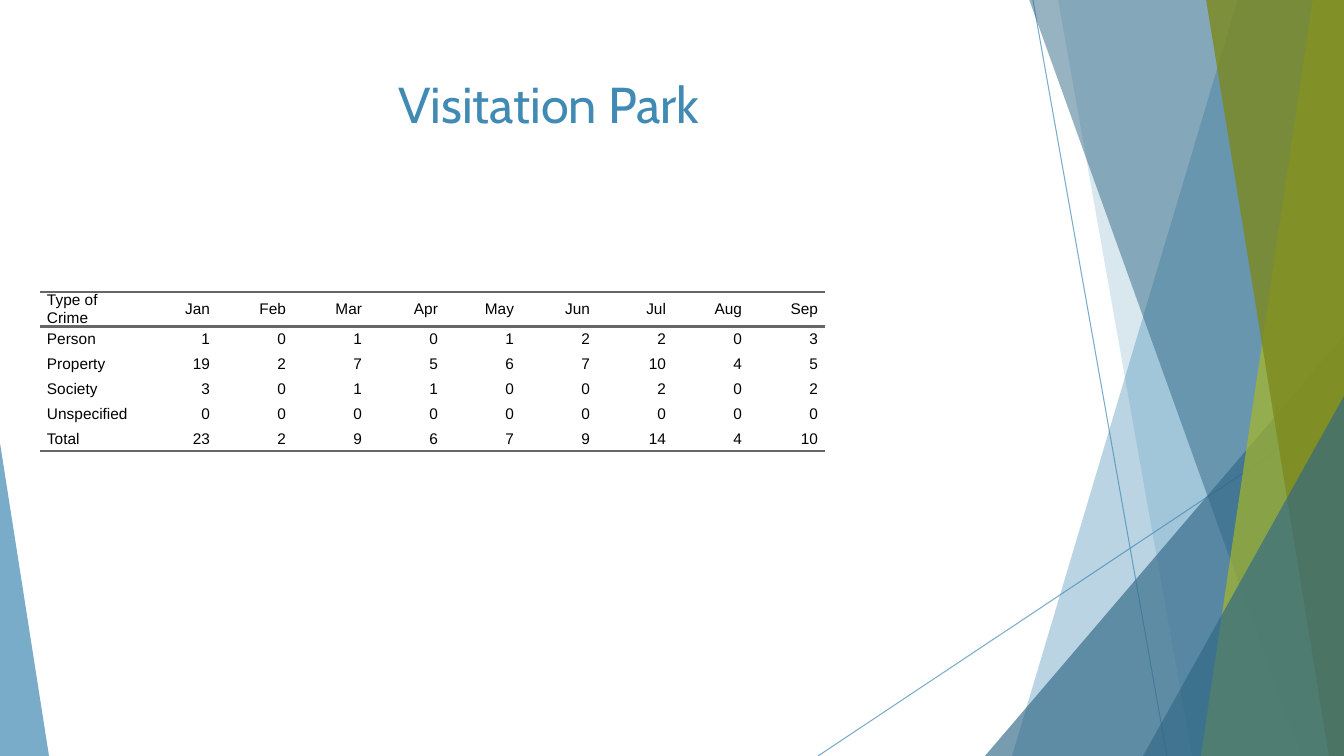
from lxml.etree import SubElement
from pptx import Presentation
from pptx.dml.color import RGBColor
from pptx.enum.shapes import MSO_CONNECTOR as Connector, MSO_SHAPE as Shape
from pptx.enum.text import MSO_ANCHOR as Anchor, PP_ALIGN as Align
from pptx.oxml.ns import qn
from pptx.util import Emu, Pt

EMU_PER_PX = 914400 / 100.8
WIDTH, HEIGHT = 1344, 756
BLUE, NAVY, LIME, OLIVE = "418AB3", "316886", "A6B727", "7D891D"
BLACK, GREY = "000000", "666666"
PLAIN_TABLE = "{2D5ABB26-0587-4C30-8999-92F81FD0307C}"


def px(length):
    return Emu(round(length * EMU_PER_PX))


def color(hex_string):
    return RGBColor.from_string(hex_string)


def apply(target, values):
    for name, value in values.items():
        setattr(target, name, value)


class SlideBuilder:
    title_font = {"name": "Cabin", "size": Pt(36), "bold": False}
    table_font = {"name": "Arial", "size": Pt(11), "bold": False}
    cell_format = {"margin_left": px(7), "margin_right": px(7), "margin_top": 0,
                   "margin_bottom": 0, "vertical_anchor": Anchor.MIDDLE}

    def __init__(self, presentation):
        self.slide = presentation.slides.add_slide(presentation.slide_layouts[5])
        self.shapes = self.slide.shapes

    def paint(self, format_owner, properties, hex_string, opacity):
        format_owner.fill.solid()
        format_owner.fill.fore_color.rgb = color(hex_string)
        # Opacity is a child of the colour element
        for element in properties.iter(qn("a:srgbClr")):
            SubElement(element, qn("a:alpha"), val=str(opacity * 1000))

    def finish(self, shape, hex_string, opacity):
        self.paint(shape, shape._element.spPr, hex_string, opacity)
        shape.line.fill.background()
        shape.shadow.inherit = False

    def line(self, start, end, hex_string, opacity):
        connector = self.shapes.add_connector(
            Connector.STRAIGHT, *map(px, start + end))
        connector.line.width = Pt(0.75)
        properties = connector._element.spPr
        self.paint(connector.line, properties, hex_string, opacity)
        SubElement(properties, qn("a:effectLst"))

    def band(self, top_left, top_right, bottom_left, hex_string, opacity):
        """Full-height band whose lower right corner is the slide's corner."""
        builder = self.shapes.build_freeform(top_left, -1, scale=EMU_PER_PX)
        builder.add_line_segments(
            [(top_right, -1), (WIDTH, HEIGHT), (bottom_left, HEIGHT)])
        self.finish(builder.convert_to_shape(), hex_string, opacity)

    def triangle(self, left, top, width, apex, hex_string, opacity):
        """Triangle that stands on the bottom edge of the slide."""
        shape = self.shapes.add_shape(
            Shape.ISOSCELES_TRIANGLE, *map(px, (left, top, width, HEIGHT - top)))
        shape.adjustments[0] = apex
        self.finish(shape, hex_string, opacity)

    def set_text(self, text_frame, text, align, font, hex_string):
        text_frame.text = text
        paragraph = text_frame.paragraphs[0]
        paragraph.alignment = align
        run_font = paragraph.runs[0].font
        apply(run_font, font)
        run_font.color.rgb = color(hex_string)

    def title(self, text, left, top, width, height):
        shape = self.shapes.title
        apply(shape, {"left": px(left), "top": px(top),
                      "width": px(width), "height": px(height)})
        apply(shape.text_frame, {"vertical_anchor": Anchor.TOP, "word_wrap": True})
        self.set_text(shape.text_frame, text, Align.CENTER, self.title_font, BLUE)

    def border(self, cell, side):
        edge = SubElement(cell._tc.get_or_add_tcPr(), qn(f"a:ln{side}"),
                          w=str(Pt(2)))
        fill = SubElement(edge, qn("a:solidFill"))
        SubElement(fill, qn("a:srgbClr"), val=GREY)

    def table(self, rows, left, top, column_widths, row_height):
        frame = self.shapes.add_table(
            len(rows), len(column_widths), px(left), px(top),
            px(sum(column_widths)), px(row_height * len(rows)))
        table = frame.table
        apply(table, {"first_row": False, "horz_banding": False})
        table._tbl.tblPr.find(qn("a:tableStyleId")).text = PLAIN_TABLE
        for column, width in zip(table.columns, column_widths):
            column.width = px(width)
        for row_index, values in enumerate(rows):
            table.rows[row_index].height = px(row_height)
            for column_index, value in enumerate(values):
                cell = table.cell(row_index, column_index)
                apply(cell, self.cell_format)
                align = Align.RIGHT if column_index else Align.LEFT
                self.set_text(cell.text_frame, str(value), align,
                              self.table_font, BLACK)
                # Rules above and below the header and below the total
                if row_index == 0:
                    self.border(cell, "T")
                if row_index in (0, len(rows) - 1):
                    self.border(cell, "B")
                cell.fill.background()


CRIME_ROWS = [
    ["Type of Crime", "Jan", "Feb", "Mar", "Apr", "May", "Jun", "Jul", "Aug", "Sep"],
    ["Person", 1, 0, 1, 0, 1, 2, 2, 0, 3],
    ["Property", 19, 2, 7, 5, 6, 7, 10, 4, 5],
    ["Society", 3, 0, 1, 1, 0, 0, 2, 0, 2],
    ["Unspecified", 0, 0, 0, 0, 0, 0, 0, 0, 0],
    ["Total", 23, 2, 9, 6, 7, 9, 14, 4, 10],
]


def main():
    presentation = Presentation()
    apply(presentation, {"slide_width": px(WIDTH), "slide_height": px(HEIGHT)})
    builder = SlideBuilder(presentation)

    # Decorative facets, back to front
    builder.line((1033, 0), (1167, HEIGHT), BLUE, 70)
    builder.line((WIDTH, 406), (818, HEIGHT), BLUE, 70)
    builder.band(1238, WIDTH, 1012, BLUE, 36)
    builder.band(1058, WIDTH, 1192, BLUE, 20)
    builder.triangle(985, 336, 359, 1, NAVY, 66)
    builder.band(1029, WIDTH, 1301, NAVY, 50)
    builder.band(1313, WIDTH, 1201, LIME, 70)
    builder.band(1206, WIDTH, 1329, OLIVE, 80)
    builder.triangle(1143, 396, 201, 1, NAVY, 66)
    builder.triangle(0, 443, 49, 0, BLUE, 70)

    # Crime table and title
    month_count = len(CRIME_ROWS[0]) - 1
    builder.table(CRIME_ROWS, 40, 292, [101] + [76] * month_count, 25)
    builder.title("Visitation Park", 75, 68, 948, 145)

    presentation.save("out.pptx")


if __name__ == "__main__":
    main()
